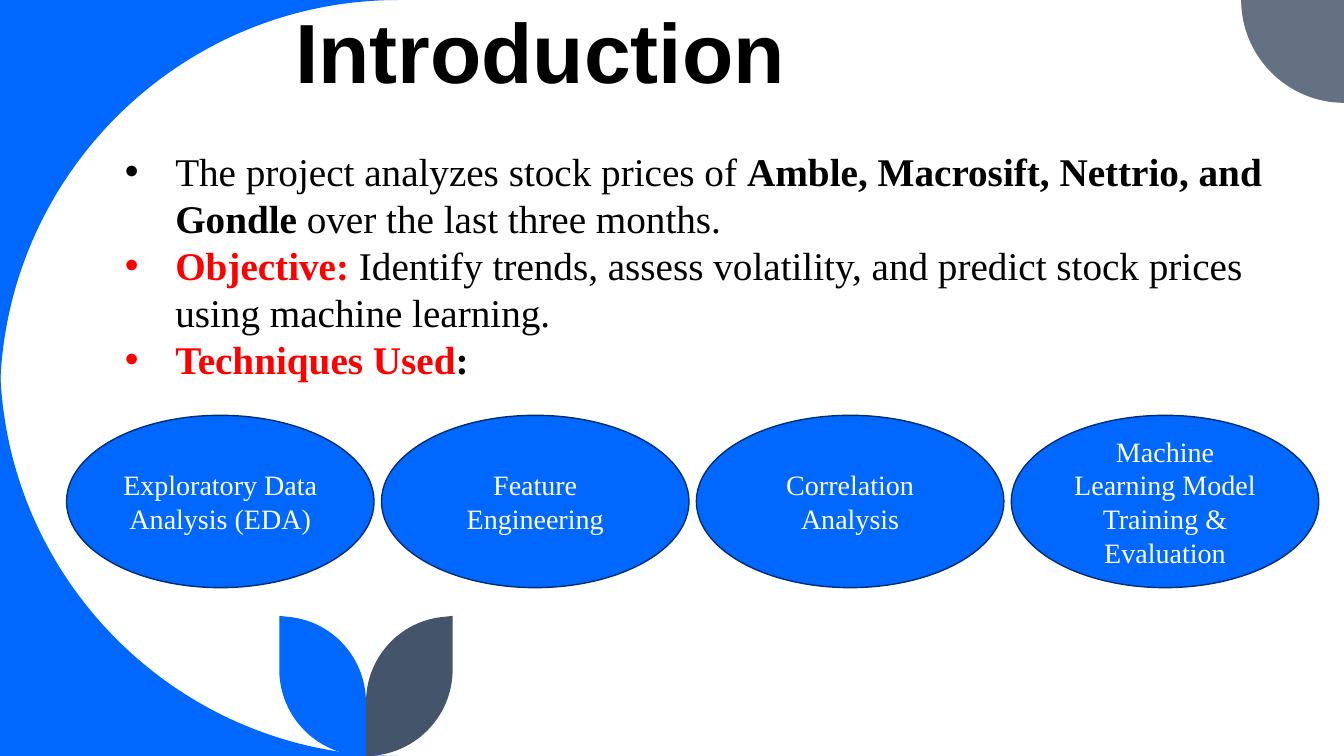
"""Builds the introduction slide of a stock price project."""
from lxml.etree import SubElement
from pptx import Presentation
from pptx.dml.color import RGBColor
from pptx.enum.shapes import MSO_SHAPE
from pptx.enum.text import MSO_ANCHOR, PP_ALIGN
from pptx.oxml.ns import qn
from pptx.util import Inches, Pt

COLORS = {
    "blue": "0068FF", "navy": "002E70", "gray": "637183", "slate": "44546A",
    "red": "FF0000", "black": "000000", "white": "FFFFFF",
}
SERIF = "Times New Roman"


def flip(steps, axis, span):
    return [[tuple(span - v if i == axis else v for i, v in enumerate(spot))
             for spot in step] for step in steps]


class Deck:
    def __init__(self):
        self.show = Presentation()
        self.show.slide_width = Inches(13.33)
        self.show.slide_height = Inches(7.5)
        self.slide = self.show.slides.add_slide(self.show.slide_layouts[6])
        self.shapes = self.slide.shapes

    def color(self, name):
        return RGBColor.from_string(COLORS[name])

    def paint(self, shape, fill, line=None):
        shape.shadow.inherit = False
        shape.fill.solid()
        shape.fill.fore_color.rgb = self.color(fill)
        if line:
            shape.line.color.rgb = self.color(line)
            shape.line.width = Pt(1)
        else:
            shape.line.fill.background()

    def outline(self, steps, fill):
        ends = [tuple(map(Inches, step[-1])) for step in steps]
        pen = self.shapes.build_freeform(*ends[0], scale=1.0)
        pen.add_line_segments(ends[1:], close=True)
        shape = pen.convert_to_shape()
        self.paint(shape, fill)
        lines = list(shape._element.iter(qn("a:lnTo")))
        for line, step in zip(lines, steps[1:]):
            if len(step) == 3:
                trace = line.getparent()
                curve = SubElement(trace, qn("a:cubicBezTo"))
                for x, y in step:
                    spot = SubElement(curve, qn("a:pt"))
                    spot.set("x", str(Inches(x) - shape.left))
                    spot.set("y", str(Inches(y) - shape.top))
                trace.replace(line, curve)

    def run(self, para, text, size, color="black", bold=False, font=SERIF):
        run = para.add_run()
        run.text = text
        run.font.size = Pt(size)
        run.font.name = font
        run.font.bold = bold
        run.font.color.rgb = self.color(color)

    def box(self, *place):
        frame = self.shapes.add_textbox(*map(Inches, place)).text_frame
        frame.word_wrap = True
        return frame

    def title(self, text, *place):
        frame = self.box(*place)
        frame.vertical_anchor = MSO_ANCHOR.MIDDLE
        para = frame.paragraphs[0]
        para.line_spacing = 0.8
        self.run(para, text, 60, bold=True, font="Arial")

    def bullets(self, items, *place):
        frame = self.box(*place)
        for index, runs in enumerate(items):
            para = frame.add_paragraph() if index else frame.paragraphs[0]
            props = para._p.get_or_add_pPr()
            props.set("marL", str(Inches(0.5)))
            props.set("indent", str(Inches(-0.5)))
            SubElement(props, qn("a:buFont")).set("typeface", "Arial")
            SubElement(props, qn("a:buChar")).set("char", "•")
            for text, color, bold in runs:
                self.run(para, text, 28, color, bold)

    def oval(self, text, *place):
        shape = self.shapes.add_shape(MSO_SHAPE.OVAL, *map(Inches, place))
        self.paint(shape, "blue", "navy")
        frame = shape.text_frame
        frame.word_wrap = True
        frame.vertical_anchor = MSO_ANCHOR.MIDDLE
        para = frame.paragraphs[0]
        para.alignment = PP_ALIGN.CENTER
        self.run(para, text, 20, "white")


def main():
    deck = Deck()

    corner = [[(0, 0)], [(3.95, 0)], [(1.77, 0), (0, 1.77), (0, 3.95)]]
    deck.outline(corner, "blue")
    deck.outline(flip(corner, 1, 7.5), "blue")

    deck.outline([[(13.33, 0)], [(12.31, 0)],
                  [(12.31, 0.56), (12.77, 1.02), (13.33, 1.02)]], "gray")

    leaf = [[(2.77, 6.11)], [(2.77, 6.64)],
            [(2.77, 7.12), (3.16, 7.5), (3.63, 7.5)], [(3.63, 6.97)],
            [(3.63, 6.53), (3.3, 6.16), (2.86, 6.12)]]
    deck.outline(leaf, "blue")
    deck.outline(flip(leaf, 0, 7.26), "slate")

    deck.title("Introduction", 2.83, 0.11, 11.49, 0.96)
    deck.bullets([
        [("The project analyzes stock prices of ", "black", False),
         ("Amble, Macrosift, Nettrio, and Gondle", "black", True),
         (" over the last three months.", "black", False)],
        [("Objective: ", "red", True),
         ("Identify trends, assess volatility, and predict stock prices "
          "using machine learning.", "black", False)],
        [("Techniques Used", "red", True), (":", "black", True)],
    ], 1.14, 1.41, 12.04, 3.23)

    steps = ["Exploratory Data Analysis (EDA)", "Feature Engineering",
             "Correlation Analysis",
             "Machine Learning Model Training & Evaluation"]
    for index, step in enumerate(steps):
        deck.oval(step, 0.66 + index * 9.37 / 3, 4.12, 3.05, 1.71)

    deck.show.save("out.pptx")


if __name__ == "__main__":
    main()
